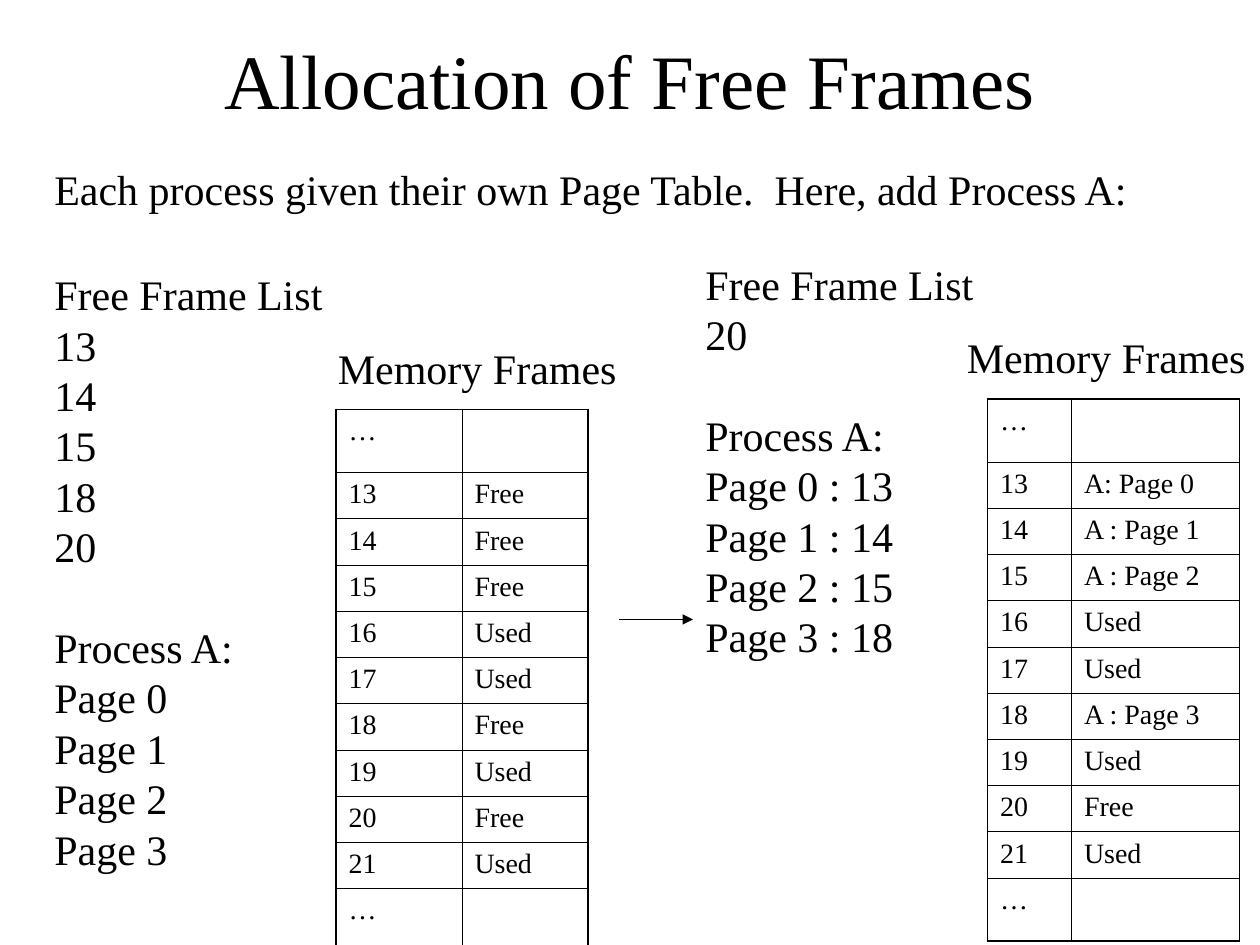
from dataclasses import dataclass

import pptx
import pptx.util
import pptx.dml.color
import pptx.enum.shapes
import pptx.enum.text
import pptx.oxml
import pptx.oxml.ns
from lxml import etree


@dataclass(frozen=True)
class Theme:
    font: str = "Times New Roman"
    ink: str = "000000"
    title: float = 44
    body: float = 24
    cell: float = 16
    leading: float = 28.8
    arrow: float = 0.75
    inner: float = 0.45
    outer: float = 1.08


@dataclass(frozen=True)
class TextBlock:
    """Groups of lines, one line of space between groups; place in grid units."""
    col: float
    row: float
    width: float
    height: float
    groups: tuple[tuple[str, ...], ...]


@dataclass(frozen=True)
class FrameTable:
    col: float
    row: float
    widths: tuple[float, float]
    uses: tuple[str, ...]


THEME = Theme()
COLUMNS, ROWS = 120, 90
SLIDE_W, SLIDE_H = pptx.util.Inches(10), pptx.util.Inches(7.5)
END_ROW, FRAME_ROW = 6, 4.4
FIRST_FRAME = 13
LABEL_W = 29.1

TITLE = TextBlock(9, 0, 102, 15, (("Allocation of Free Frames",),))
PAGES = tuple(f"Page {n}" for n in range(4))
PLACED = tuple(f"{page} : {frame}" for page, frame in zip(PAGES, (13, 14, 15, 18)))
MEMORY = (("Memory Frames",),)
BLOCKS = (
    TextBlock(4, 15, 105.1, 6,
              (("Each process given their own Page Table.  Here, add Process A:",),)),
    TextBlock(4, 25, 28, 58.8,
              (("Free Frame List", "13", "14", "15", "18", "20"),
               ("Process A:", *PAGES))),
    TextBlock(31, 32, LABEL_W, 6, MEMORY),
    TextBlock(66, 24, 28, 39.6,
              (("Free Frame List", "20"), ("Process A:", *PLACED))),
    TextBlock(COLUMNS - LABEL_W, 31, LABEL_W, 6, MEMORY),
)
TABLES = (
    FrameTable(32, 39, (12, 12),
               ("Free", "Free", "Free", "Used", "Used", "Free", "Used", "Free", "Used")),
    FrameTable(94.05, 38, (8, 16),
               ("A: Page 0", "A : Page 1", "A : Page 2", "Used", "Used", "A : Page 3",
                "Used", "Free", "Used")),
)


def x(columns: float) -> int:
    return round(SLIDE_W * columns / COLUMNS)


def y(rows: float) -> int:
    return round(SLIDE_H * rows / ROWS)


def ink() -> pptx.dml.color.RGBColor:
    return pptx.dml.color.RGBColor.from_string(THEME.ink)


def apply(target, **values) -> None:
    for name, value in values.items():
        setattr(target, name, value)


def write(p, text: str, size: float) -> None:
    r = p.add_run()
    r.text = text
    apply(r.font, name=THEME.font, size=pptx.util.Pt(size))
    r.font.color.rgb = ink()


def add_box(s, block: TextBlock):
    return s.shapes.add_textbox(x(block.col), y(block.row),
                                x(block.width), y(block.height)).text_frame


def add_title(s, block: TextBlock) -> None:
    tf = add_box(s, block)
    apply(tf, word_wrap=True, vertical_anchor=pptx.enum.text.MSO_ANCHOR.MIDDLE)
    tf.paragraphs[0].alignment = pptx.enum.text.PP_ALIGN.CENTER
    write(tf.paragraphs[0], block.groups[0][0], THEME.title)


def add_block(s, block: TextBlock) -> None:
    tf = add_box(s, block)
    apply(tf, word_wrap=False, auto_size=pptx.enum.text.MSO_AUTO_SIZE.SHAPE_TO_FIT_TEXT)
    leading = pptx.util.Pt(THEME.leading)
    for g, group in enumerate(block.groups):
        for i, line in enumerate(group):
            first = g == i == 0
            p = tf.paragraphs[0] if first else tf.add_paragraph()
            p.line_spacing = leading
            if i == 0 and not first:
                p.space_before = leading
            write(p, line, THEME.body)


def set_borders(cell, edges: dict[str, bool]) -> None:
    """Rule each side; True marks a side on the table's outline."""
    tcPr = cell._tc.get_or_add_tcPr()
    for i, (side, is_outer) in enumerate(edges.items()):
        width = pptx.util.Pt(THEME.outer if is_outer else THEME.inner)
        ln = pptx.oxml.parse_xml(
            f'<a:{side} {pptx.oxml.ns.nsdecls("a")} w="{width}"><a:solidFill>'
            f'<a:srgbClr val="{THEME.ink}"/></a:solidFill></a:{side}>')
        tcPr.insert(i, ln)


def add_frame_table(s, frame_table: FrameTable) -> None:
    frames = [(str(n), use) for n, use in enumerate(frame_table.uses, FIRST_FRAME)]
    rows = [("…", ""), *frames, ("…", "")]
    last = len(rows) - 1
    heights = [END_ROW if i in (0, last) else FRAME_ROW for i in range(len(rows))]
    table = s.shapes.add_table(len(rows), 2, x(frame_table.col), y(frame_table.row),
                               x(sum(frame_table.widths)), y(sum(heights))).table
    apply(table, first_row=False, horz_banding=False)
    for column, width in zip(table.columns, frame_table.widths):
        column.width = x(width)
    for i, (values, height) in enumerate(zip(rows, heights)):
        table.rows[i].height = y(height)
        for j, value in enumerate(values):
            cell = table.cell(i, j)
            cell.fill.background()
            set_borders(cell, {"lnL": j == 0, "lnR": j == 1,
                               "lnT": i == 0, "lnB": i == last})
            if value:
                write(cell.text_frame.paragraphs[0], value, THEME.cell)


def add_arrow(s, start: float, end: float, row: float) -> None:
    sp = s.shapes.add_connector(pptx.enum.shapes.MSO_CONNECTOR.STRAIGHT,
                                x(start), y(row), x(end), y(row))
    sp.line.color.rgb = ink()
    sp.line.width = pptx.util.Pt(THEME.arrow)
    qn = pptx.oxml.ns.qn
    etree.SubElement(sp.line._get_or_add_ln(), qn("a:tailEnd"), type="triangle")
    etree.SubElement(sp._element.spPr, qn("a:effectLst"))


def main() -> None:
    prs = pptx.Presentation()
    apply(prs, slide_width=SLIDE_W, slide_height=SLIDE_H)
    s = prs.slides.add_slide(prs.slide_layouts[6])
    add_title(s, TITLE)
    for block in BLOCKS:
        add_block(s, block)
    for frame_table in TABLES:
        add_frame_table(s, frame_table)
    add_arrow(s, 59, 66, 59)
    prs.save("out.pptx")


if __name__ == "__main__":
    main()
